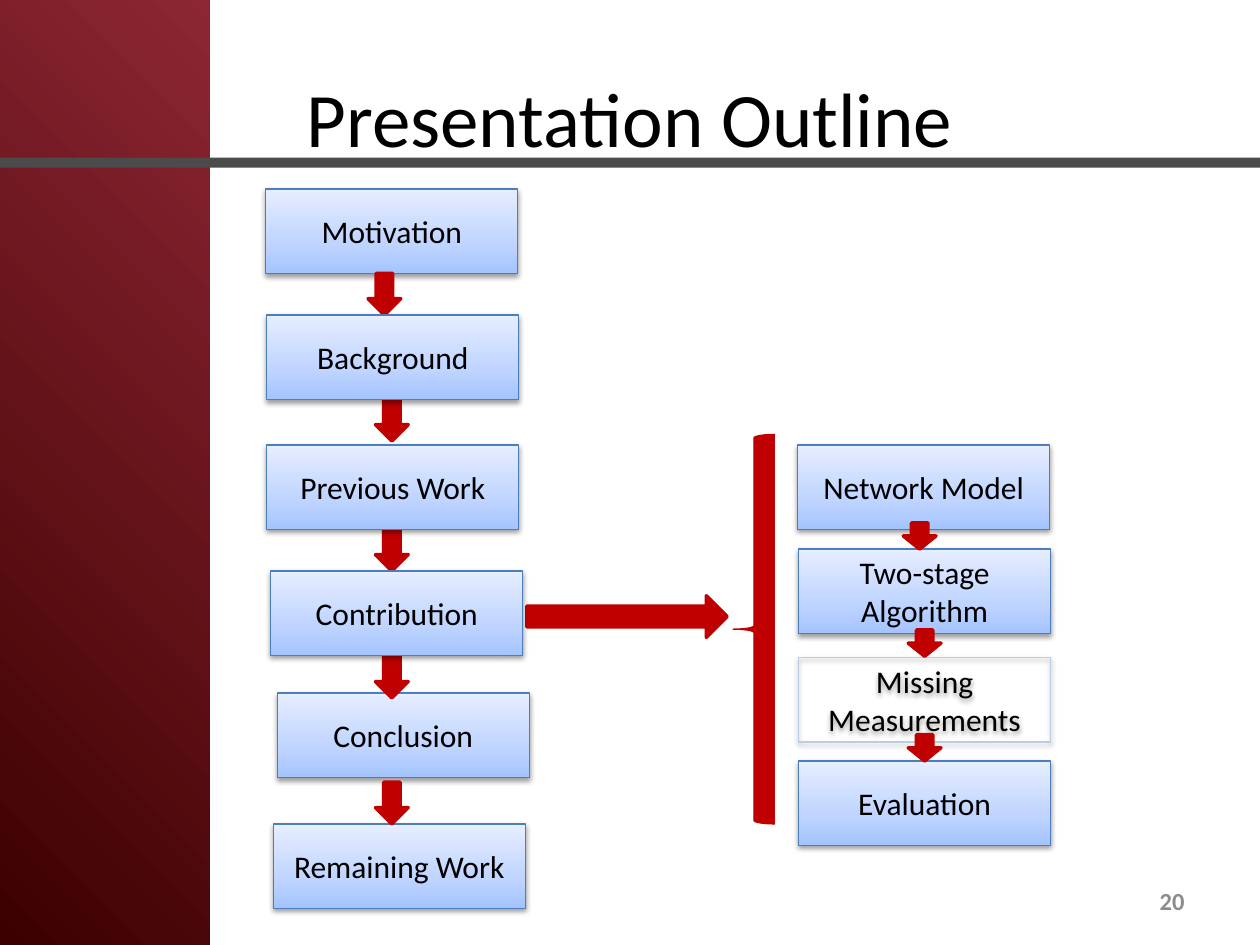
from copy import deepcopy
from pptx import Presentation
from pptx.dml.color import RGBColor as Rgb
from pptx.enum.shapes import MSO_SHAPE as Kind
from pptx.enum.text import MSO_ANCHOR as Anchor, PP_ALIGN as Align
from pptx.oxml import parse_xml
from pptx.oxml.ns import nsdecls, qn
from pptx.util import Cm, Pt

BLACK = Rgb(0x00, 0x00, 0x00)
GRAY = Rgb(0x8C, 0x8C, 0x8C)
DARK = Rgb(0x4B, 0x4B, 0x4B)
RED = Rgb(0xC0, 0x00, 0x00)
BLUE = Rgb(0x4B, 0x7E, 0xBC)
PALE = Rgb(0xB9, 0xCD, 0xE5)
WINE = [(0, Rgb(0x3C, 0x00, 0x00)), (1, Rgb(0x8C, 0x26, 0x33))]
SKY = [(0, Rgb(0xA4, 0xC4, 0xFF)), (0.35, Rgb(0xBF, 0xD4, 0xFF)),
       (1, Rgb(0xE6, 0xEE, 0xFF))]

TOPICS = [("Motivation", 5.36, 3.81), ("Conclusion", 5.59, 13.97),
          ("Remaining Work", 5.51, 16.61)]
MIDDLE = [("Background", 5.38, 6.35), ("Previous Work", 5.38, 8.97),
          ("Contribution", 5.46, 11.51)]
PARTS = [("Network Model", 16.08, 8.97), ("Two-stage Algorithm", 16.1, 11.07),
         ("Missing Measurements", 16.1, 13.26), ("Evaluation", 16.1, 15.34)]
STEPS = [(7.42, 5.51), (7.57, 8.05), (7.57, 10.67), (7.57, 13.23), (7.57, 15.77)]
LINKS = [(18.21, 10.54), (18.31, 12.7), (18.31, 14.81)]


def write(shape, text, size, color, align=Align.CENTER, bold=False):
    frame = shape.text_frame
    frame.word_wrap = True
    frame.vertical_anchor = Anchor.MIDDLE
    para = frame.paragraphs[0]
    para.text = text
    para.alignment = align
    font = para.font
    font.name, font.size, font.bold = "Calibri", Pt(size), bold
    font.color.rgb = color


def label(slide, place, *style):
    write(slide.shapes.add_textbox(*map(Cm, place)), *style)


def blend(shape, stops, angle):
    fill = shape.fill
    fill.gradient()
    fill.gradient_angle = angle
    items = shape._element.spPr.find(qn("a:gradFill")).find(qn("a:gsLst"))
    while len(items) < len(stops):
        items.append(deepcopy(items[0]))
    for stop, (spot, color) in zip(fill.gradient_stops, stops):
        stop.position = spot
        stop.color.rgb = color


def form(slide, kind, place, color=None, edge=None, width=0.75):
    shape = slide.shapes.add_shape(kind, *map(Cm, place))
    shape.shadow.inherit = False
    if color is None:
        shape.fill.background()
    else:
        shape.fill.solid()
        shape.fill.fore_color.rgb = color
    if edge is None:
        shape.line.fill.background()
    else:
        shape.line.color.rgb = edge
        shape.line.width = Pt(width)
    return shape


def shade(shape):
    effects = shape._element.spPr.find(qn("a:effectLst"))
    effects.append(parse_xml(
        f'<a:outerShdw {nsdecls("a")} blurRad="{Pt(3.1)}" dist="{Pt(1.6)}" '
        'dir="5400000" rotWithShape="0"><a:srgbClr val="000000">'
        '<a:alpha val="38000"/></a:srgbClr></a:outerShdw>'))


def box(slide, text, left, top):
    plain = text == "Missing Measurements"
    shape = form(slide, Kind.RECTANGLE, (left, top, 5.08, 1.7),
                 edge=PALE if plain else BLUE)
    if not plain:
        blend(shape, SKY, 90)
    shade(shape)
    write(shape, text, 18, BLACK)


def arrow(slide, place, kind=Kind.DOWN_ARROW):
    form(slide, kind, place, RED, RED, 2)


def main():
    deck = Presentation()
    deck.slide_width, deck.slide_height = Cm(25.4), Cm(19.05)
    slide = deck.slides.add_slide(deck.slide_layouts[6])

    panel = form(slide, Kind.RECTANGLE, (0, 0, 4.23, 19.05))
    blend(panel, WINE, 45)
    form(slide, Kind.RECTANGLE, (0, 3.18, 25.4, 0.2), DARK)
    label(slide, (1.27, 0.76, 22.86, 3.18), "Presentation Outline", 44, BLACK)
    label(slide, (18.2, 17.65, 5.93, 1.01), "20", 14, GRAY, Align.RIGHT, True)

    for topic in TOPICS:
        box(slide, *topic)
    for left, top in STEPS:
        arrow(slide, (left, top, 0.66, 0.84))
    arrow(slide, (10.62, 12.01, 4.04, 0.84), Kind.RIGHT_ARROW)
    form(slide, Kind.LEFT_BRACE, (14.78, 8.76, 0.84, 7.85), RED, RED)
    for part in PARTS:
        box(slide, *part)
    for left, top in LINKS:
        arrow(slide, (left, top, 0.66, 0.53))
    for topic in MIDDLE:
        box(slide, *topic)

    deck.save("out.pptx")


if __name__ == "__main__":
    main()
